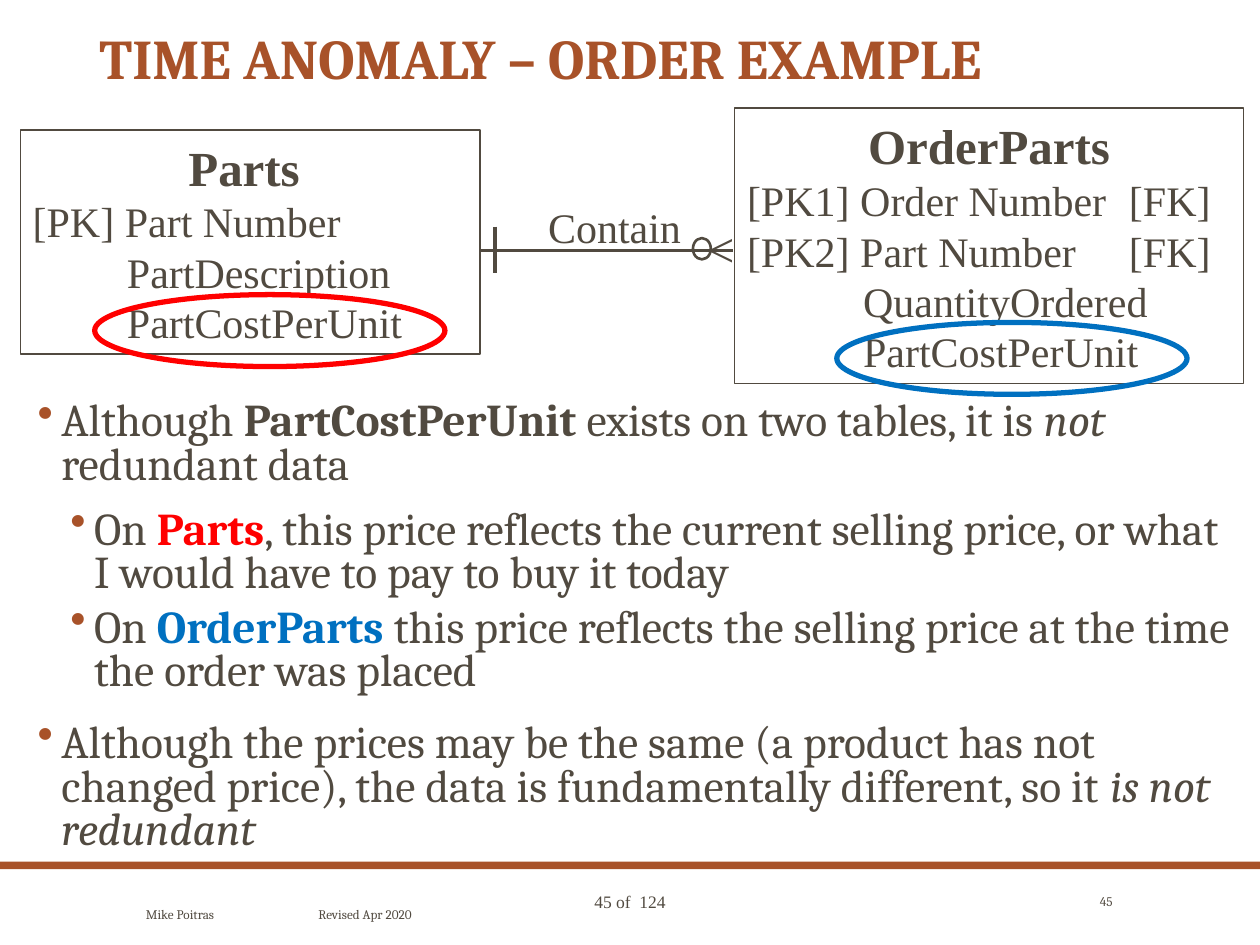
from lxml.etree import SubElement
from pptx import Presentation
from pptx.dml.color import RGBColor
from pptx.enum.shapes import MSO_CONNECTOR, MSO_SHAPE
from pptx.enum.text import MSO_ANCHOR, PP_ALIGN
from pptx.oxml.ns import qn
from pptx.util import Cm, Pt

BROWN = RGBColor(0xA8, 0x52, 0x29)
TEXT = RGBColor(0x51, 0x4A, 0x40)
RED = RGBColor(0xFF, 0x00, 0x00)
BLUE = RGBColor(0x00, 0x70, 0xC0)
SERIF = "Times New Roman"
HEADING = "Cambria"


def write_text(paragraph, text, size, font=SERIF, color=TEXT, bold=False, italic=False):
    run = paragraph.add_run()
    run.text = text
    run.font.name = font
    run.font.size = Pt(size)
    run.font.color.rgb = color
    run.font.bold = bold
    run.font.italic = italic


def set_indent(paragraph, margin, first_line=0):
    properties = paragraph._p.get_or_add_pPr()
    properties.set("marL", str(Cm(margin)))
    properties.set("indent", str(Cm(first_line)))


def set_tab(paragraph, position):
    tabs = SubElement(paragraph._p.get_or_add_pPr(), qn("a:tabLst"))
    SubElement(tabs, qn("a:tab"), pos=str(Cm(position)), algn="l")


def set_bullet(paragraph):
    properties = paragraph._p.get_or_add_pPr()
    color = SubElement(properties, qn("a:buClr"))
    SubElement(color, qn("a:srgbClr"), val=str(BROWN))
    SubElement(properties, qn("a:buChar"), char="•")


def add_text_box(slide, left, top, width, height, anchor=MSO_ANCHOR.TOP):
    shape = slide.shapes.add_textbox(Cm(left), Cm(top), Cm(width), Cm(height))
    shape.text_frame.word_wrap = True
    shape.text_frame.vertical_anchor = anchor
    return shape.text_frame


def add_label(slide, box, text, size, font=SERIF, align=PP_ALIGN.LEFT, anchor=MSO_ANCHOR.TOP):
    paragraph = add_text_box(slide, *box, anchor=anchor).paragraphs[0]
    paragraph.alignment = align
    write_text(paragraph, text, size, font=font)
    return paragraph


def add_outline(slide, kind, left, top, width, height, color, weight):
    shape = slide.shapes.add_shape(kind, Cm(left), Cm(top), Cm(width), Cm(height))
    shape.shadow.inherit = False
    shape.fill.background()
    shape.line.color.rgb = color
    shape.line.width = Pt(weight)
    return shape


def add_line(slide, start_x, start_y, end_x, end_y):
    connector = slide.shapes.add_connector(
        MSO_CONNECTOR.STRAIGHT, Cm(start_x), Cm(start_y), Cm(end_x), Cm(end_y))
    connector.line.color.rgb = TEXT
    connector.line.width = Pt(2.25)
    SubElement(connector._element.spPr, qn("a:effectLst"))


def add_entity(slide, box, name, keys, attributes, indent):
    shape = add_outline(slide, MSO_SHAPE.RECTANGLE, *box, TEXT, 0.75)
    frame = shape.text_frame
    frame.word_wrap = True
    frame.vertical_anchor = MSO_ANCHOR.MIDDLE
    heading = frame.paragraphs[0]
    heading.alignment = PP_ALIGN.CENTER
    write_text(heading, name, 28, bold=True)
    for text in keys + attributes:
        paragraph = frame.add_paragraph()
        paragraph.alignment = PP_ALIGN.LEFT
        if text in attributes:
            set_indent(paragraph, indent)
        if "\t" in text:
            set_tab(paragraph, 7.7)
        write_text(paragraph, text, 24)


def add_title(slide, text):
    title = slide.shapes.title
    title.left, title.top, title.width, title.height = Cm(1.75), Cm(0.53), Cm(21.89), Cm(1.4)
    title.text_frame.vertical_anchor = MSO_ANCHOR.MIDDLE
    paragraph = title.text_frame.paragraphs[0]
    paragraph.alignment = PP_ALIGN.LEFT
    paragraph.line_spacing = 0.9
    write_text(paragraph, text, 32, font=HEADING, color=BROWN, bold=True)


def add_bullets(slide, box, bullets):
    frame = add_text_box(slide, *box)
    for index, (level, space_before, runs) in enumerate(bullets):
        paragraph = frame.add_paragraph() if index else frame.paragraphs[0]
        paragraph.level = level
        paragraph.line_spacing = 0.8
        paragraph.space_before = Pt(space_before)
        paragraph.space_after = Pt(6 if level else 12)
        set_indent(paragraph, 1.24 if level else 0.58, -0.48)
        set_bullet(paragraph)
        for text, style in runs:
            write_text(paragraph, text, 26, font=HEADING, **style)


def add_relationship(slide):
    add_line(slide, 14.78, 5.05, 9.7, 5.05)
    add_line(slide, 9.98, 4.57, 9.98, 5.51)
    add_label(slide, (10.8, 3.94, 3.53, 1.27), "Contain", 24)
    add_label(slide, (14, 4.29, 2.57, 1.45), "<", 28)
    add_outline(slide, MSO_SHAPE.OVAL, 13.97, 4.8, 0.36, 0.43, TEXT, 1.5)


def add_footer(slide):
    bar = slide.shapes.add_shape(MSO_SHAPE.RECTANGLE, 0, Cm(17.37), Cm(25.4), Cm(0.15))
    bar.shadow.inherit = False
    bar.fill.solid()
    bar.fill.fore_color.rgb = BROWN
    bar.line.fill.background()
    add_label(slide, (8.94, 17.83, 7.52, 0.69), "45 of  124", 10, align=PP_ALIGN.CENTER)
    credit = add_label(slide, (2.69, 17.83, 22.71, 1.22), "Mike Poitras\tRevised Apr 2020",
                       7.5, font=HEADING, anchor=MSO_ANCHOR.MIDDLE)
    set_tab(credit, 3.48)
    add_label(slide, (21.23, 17.83, 1.45, 0.66), "45", 7.5, font=HEADING,
              align=PP_ALIGN.RIGHT, anchor=MSO_ANCHOR.MIDDLE)


def main():
    presentation = Presentation()
    presentation.slide_width, presentation.slide_height = Cm(25.4), Cm(19.05)
    slide = presentation.slides.add_slide(presentation.slide_layouts[5])
    add_title(slide, "TIME ANOMALY – ORDER EXAMPLE")
    add_footer(slide)
    add_bullets(slide, (0.41, 7.98, 24.69, 9.5), [
        (0, 0, [("Although ", {}), ("PartCostPerUnit", {"bold": True}),
                (" exists on two tables, it is ", {}), ("not", {"italic": True}),
                (" redundant data", {})]),
        (1, 0, [("On ", {}), ("Parts", {"color": RED, "bold": True}),
                (", this price reflects the current selling price, "
                 "or what I would have to pay to buy it today", {})]),
        (1, 0, [("On ", {}), ("OrderParts ", {"color": BLUE, "bold": True}),
                ("this price reflects the selling price at the time the order was placed", {})]),
        (0, 10, [("Although the prices may be the same (a product has not changed price), "
                  "the data is fundamentally different, so it ", {}),
                 ("is not redundant", {"italic": True})]),
    ])
    add_entity(slide, (0.41, 2.62, 9.27, 4.52), "Parts ", ["[PK] Part Number"],
               ["PartDescription", "PartCostPerUnit"], 1.9)
    add_entity(slide, (14.81, 2.18, 10.26, 5.56), "OrderParts",
               ["[PK1] Order Number\t[FK]", "[PK2] Part Number\t[FK]"],
               ["QuantityOrdered", "PartCostPerUnit"], 2.34)
    add_relationship(slide)
    for left, top, color in ((1.91, 5.94, RED), (16.87, 6.5, BLUE)):
        add_outline(slide, MSO_SHAPE.OVAL, left, top, 7.06, 1.45, color, 3)
    presentation.save("out.pptx")


if __name__ == "__main__":
    main()
